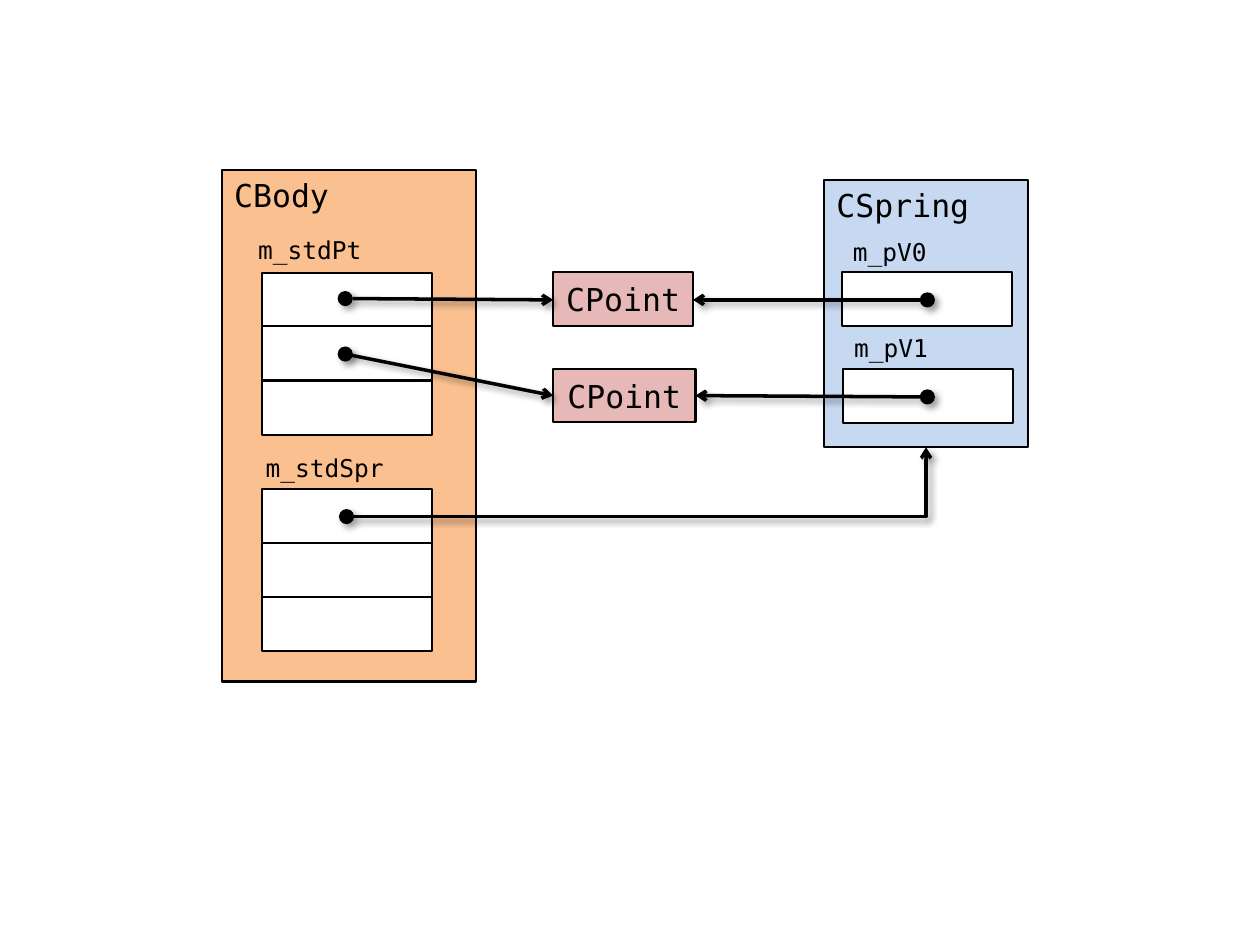
"""Build a diagram of the pointers between CBody, CPoint and CSpring objects."""
from dataclasses import dataclass

from lxml import etree
from pptx import Presentation
from pptx.dml.color import RGBColor
from pptx.enum.shapes import MSO_CONNECTOR, MSO_SHAPE
from pptx.enum.text import MSO_ANCHOR, MSO_AUTO_SIZE, PP_ALIGN
from pptx.oxml.ns import qn
from pptx.util import Inches, Pt

RECTANGLE = MSO_SHAPE.RECTANGLE
OVAL = MSO_SHAPE.OVAL
STRAIGHT = MSO_CONNECTOR.STRAIGHT
ELBOW = MSO_CONNECTOR.ELBOW
LEFT, CENTER = PP_ALIGN.LEFT, PP_ALIGN.CENTER
TOP, MIDDLE = MSO_ANCHOR.TOP, MSO_ANCHOR.MIDDLE
FIT_SHAPE = MSO_AUTO_SIZE.SHAPE_TO_FIT_TEXT
BLANK_LAYOUT = 6
CELL_WIDTH, CELL_HEIGHT = 1.35, 0.43
DOT_SIZE = 0.12


@dataclass(frozen=True)
class Theme:
    """Colours, font and sizes of the diagram."""

    ink: RGBColor = RGBColor(0x00, 0x00, 0x00)
    cell: RGBColor = RGBColor(0xFF, 0xFF, 0xFF)
    body: RGBColor = RGBColor(0xFA, 0xC0, 0x90)
    point: RGBColor = RGBColor(0xE6, 0xB9, 0xB8)
    spring: RGBColor = RGBColor(0xC6, 0xD9, 0xF1)
    font: str = "DejaVu Sans Mono"
    class_size: Pt = Pt(18)
    member_size: Pt = Pt(14)
    outline: Pt = Pt(1.25)
    arrow: Pt = Pt(2)


THEME = Theme()


def write_text(shape, text, size, alignment=LEFT, anchor=TOP):
    """Put one formatted line of text in a shape."""
    frame = shape.text_frame
    frame.text = text
    frame.vertical_anchor = anchor
    paragraph = frame.paragraphs[0]
    paragraph.alignment = alignment
    font = paragraph.runs[0].font
    font.name, font.size = THEME.font, size
    font.color.rgb = THEME.ink


def add_drop_shadow(properties):
    """Give shape properties a soft shadow to the lower right."""
    effects = properties.find(qn("a:effectLst"))
    if effects is None:
        effects = etree.SubElement(properties, qn("a:effectLst"))
    shadow = etree.SubElement(
        effects, qn("a:outerShdw"), blurRad=str(Pt(4)), dist=str(Pt(3)),
        dir="2700000", algn="tl", rotWithShape="0")
    color = etree.SubElement(shadow, qn("a:srgbClr"), val=str(THEME.ink))
    etree.SubElement(color, qn("a:alpha"), val="40000")


def add_box(shapes, left, top, width, height, fill):
    """Add an outlined rectangle."""
    box = shapes.add_shape(
        RECTANGLE, Inches(left), Inches(top), Inches(width), Inches(height))
    box.shadow.inherit = False
    box.fill.solid()
    box.fill.fore_color.rgb = fill
    box.line.color.rgb = THEME.ink
    box.line.width = THEME.outline
    return box


def add_cell(shapes, left, top):
    """Add one white storage cell."""
    add_box(shapes, left, top, CELL_WIDTH, CELL_HEIGHT, THEME.cell)


def add_member_label(shapes, left, top, width, text):
    """Add the name of a member variable."""
    label = shapes.add_textbox(
        Inches(left), Inches(top), Inches(width), Inches(0.34))
    label.text_frame.word_wrap = True
    label.text_frame.auto_size = FIT_SHAPE
    write_text(label, text, THEME.member_size)


def add_dot(shapes, left, top):
    """Add the round start of a pointer."""
    dot = shapes.add_shape(
        OVAL, Inches(left), Inches(top), Inches(DOT_SIZE), Inches(DOT_SIZE))
    dot.shadow.inherit = False
    dot.fill.solid()
    dot.fill.fore_color.rgb = THEME.ink
    dot.line.fill.background()
    add_drop_shadow(dot.element.spPr)


def add_pointer(shapes, start, end, kind=STRAIGHT):
    """Add an arrow, with a single corner when it is an elbow."""
    pointer = shapes.add_connector(
        kind, *(Inches(value) for value in (*start, *end)))
    pointer.line.color.rgb = THEME.ink
    pointer.line.width = THEME.arrow
    properties = pointer.element.spPr
    if kind == ELBOW:
        properties.find(qn("a:prstGeom")).set("prst", "bentConnector2")
    etree.SubElement(
        properties.find(qn("a:ln")), qn("a:tailEnd"), type="arrow")
    add_drop_shadow(properties)


def add_body(shapes):
    """Add the CBody container."""
    body = add_box(shapes, 1.76, 1.35, 2.02, 4.06, THEME.body)
    write_text(body, "CBody", THEME.class_size)


def add_points(shapes):
    """Add the two CPoint objects."""
    for top, width, height in ((2.16, 1.11, 0.43), (2.93, 1.13, 0.42)):
        point = add_box(shapes, 4.39, top, width, height, THEME.point)
        write_text(point, "CPoint", THEME.class_size, CENTER, MIDDLE)


def add_spring(shapes):
    """Add the CSpring object with its two point members as a group."""
    group = shapes.add_group_shape().shapes
    spring = add_box(group, 6.54, 1.43, 1.62, 2.12, THEME.spring)
    write_text(spring, "CSpring", THEME.class_size)
    members = (("m_pV0", 6.68, 2.16, 1.83), ("m_pV1", 6.69, 2.93, 2.59))
    for name, left, top, label_top in members:
        add_cell(group, left, top)
        add_member_label(group, left - 0.01, label_top, 1.33, name)
        add_dot(group, 7.3, top + 0.16)


def add_point_list(shapes):
    """Add the upper cells of the point list with their pointer dots."""
    add_member_label(shapes, 1.95, 1.82, 1.63, "m_stdPt")
    for top, dot_top in ((2.17, 2.31), (2.59, 2.75)):
        add_cell(shapes, 2.08, top)
        add_dot(shapes, 2.68, dot_top)


def add_spring_list(shapes):
    """Add the spring list as a group."""
    group = shapes.add_group_shape().shapes
    for row in range(3):
        add_cell(group, 2.08, 3.88 + row * CELL_HEIGHT)
    add_member_label(group, 2.01, 3.55, 1.5, "m_stdSpr")
    add_dot(group, 2.69, 4.04)


def add_pointers(shapes):
    """Add the arrows from the members to the objects."""
    add_pointer(shapes, (2.81, 4.1), (7.35, 3.55), ELBOW)
    for start, end in (
        ((2.74, 2.81), (4.39, 3.14)),
        ((2.8, 2.37), (4.39, 2.38)),
        ((7.3, 2.38), (5.5, 2.38)),
        ((7.3, 3.15), (5.52, 3.14)),
    ):
        add_pointer(shapes, start, end)


def main():
    """Build and save the slide."""
    presentation = Presentation()
    presentation.slide_width = Inches(10)
    presentation.slide_height = Inches(7.5)
    layout = presentation.slide_layouts[BLANK_LAYOUT]
    shapes = presentation.slides.add_slide(layout).shapes
    add_body(shapes)
    add_points(shapes)
    add_spring(shapes)
    add_point_list(shapes)
    add_spring_list(shapes)
    add_pointers(shapes)
    add_cell(shapes, 2.08, 3.02)
    presentation.save("out.pptx")


if __name__ == "__main__":
    main()
